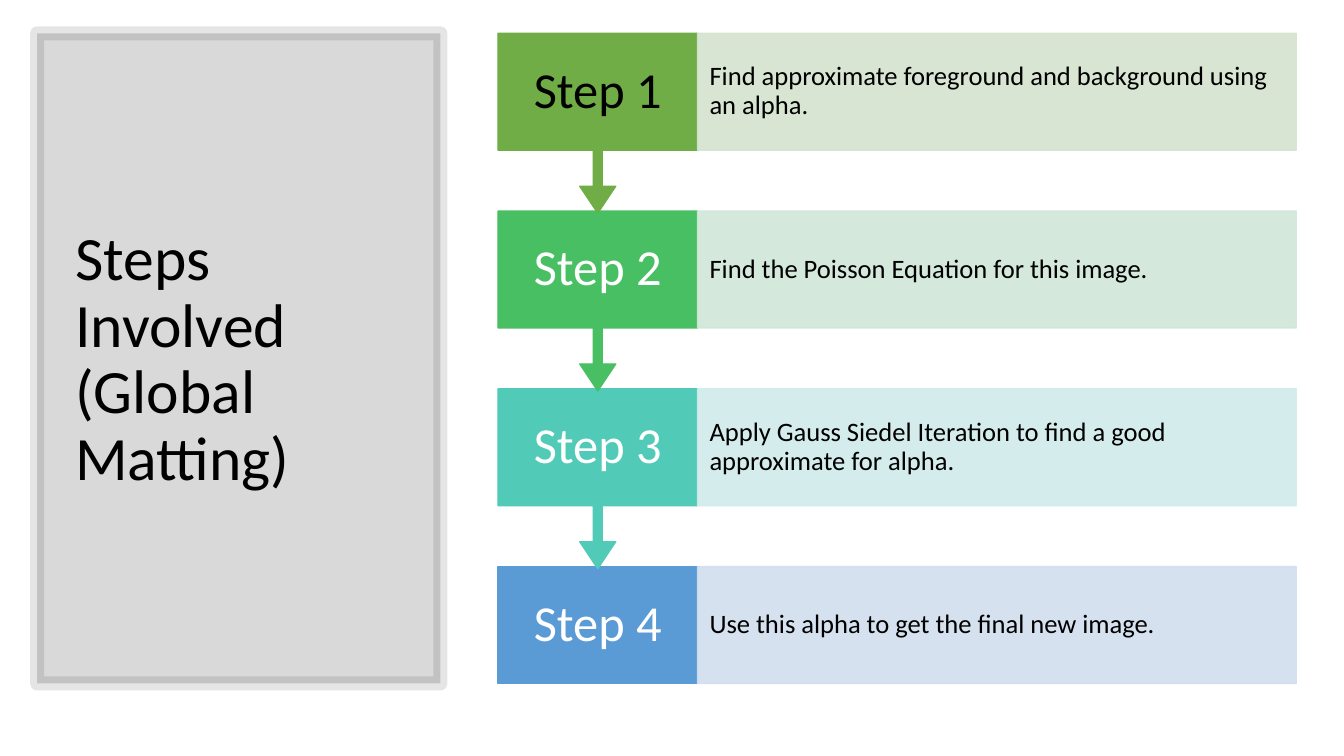
from dataclasses import dataclass

from lxml.etree import SubElement
from pptx import Presentation
from pptx.dml.color import RGBColor
from pptx.enum.shapes import MSO_SHAPE
from pptx.enum.text import MSO_ANCHOR, MSO_AUTO_SIZE, PP_ALIGN
from pptx.oxml.ns import qn
from pptx.util import Pt


@dataclass(frozen=True)
class Theme:
    """Colours, font and type sizes of the slide."""
    font: str = "Calibri"
    dark: str = "000000"
    light: str = "FFFFFF"
    title_size: int = 44
    step_size: int = 36
    detail_size: int = 19


THEME = Theme()
TITLE = "Steps Involved \n(Global Matting)"
STEPS = [
    ("Step 1", "Find approximate foreground and background using an alpha.",
     "70AD47", "D5E3CF", THEME.dark),
    ("Step 2", "Find the Poisson Equation for this image.",
     "49BF64", "D0E7D8", THEME.light),
    ("Step 3", "Apply Gauss Siedel Iteration to find a good approximate for alpha.",
     "52CAB8", "D0ECEA", THEME.light),
    ("Step 4", "Use this alpha to get the final new image.",
     "5B9BD5", "D2DEEF", THEME.light),
]


def paint(fill, color, opacity=100):
    """Give a fill one solid colour with an opacity in percent."""
    fill.solid()
    fill.fore_color.rgb = RGBColor.from_string(color)
    if opacity < 100:
        for choice in fill._xPr.iter(qn("a:srgbClr")):
            SubElement(choice, qn("a:alpha")).set("val", str(opacity * 1000))
            break


def add_block(slide, kind, box, color, opacity=100, line_width=1, line_opacity=100):
    """Add a flat preset shape with fill and outline of one colour."""
    block = slide.shapes.add_shape(kind, *map(Pt, box))
    block.shadow.inherit = False
    block.line.width = Pt(line_width)
    paint(block.line.fill, color, line_opacity)
    paint(block.fill, color, opacity)
    return block


def write(holder, text, *, size, color=THEME.dark, align=PP_ALIGN.LEFT, inset=(7.2, 3.6)):
    """Write one vertically centred paragraph into a shape."""
    frame = holder.text_frame
    frame.word_wrap = True
    frame.auto_size = MSO_AUTO_SIZE.NONE
    frame.vertical_anchor = MSO_ANCHOR.MIDDLE
    frame.margin_left = frame.margin_right = Pt(inset[0])
    frame.margin_top = frame.margin_bottom = Pt(inset[1])
    paragraph = frame.paragraphs[0]
    paragraph.text = text
    paragraph.alignment = align
    paragraph.line_spacing = 0.9
    for run in paragraph.runs:
        run.font.name = THEME.font
        run.font.size = Pt(size)
        run.font.color.rgb = RGBColor.from_string(color)


def add_title_panel(slide, box):
    """Draw the translucent panel and set the title inside it."""
    left, top, width, height = box
    add_block(slide, MSO_SHAPE.RECTANGLE, box, THEME.dark,
              opacity=15, line_width=10, line_opacity=10)
    title = slide.shapes.title
    title.left, title.top = Pt(left + 20), Pt(top + 26.6)
    title.width, title.height = Pt(width - 38.9), Pt(height - 50.4)
    slide.shapes._spTree.append(title._element)
    write(title, TITLE, size=THEME.title_size)


def add_steps(slide, box):
    """Stack the steps, each but the last pointing at the next one."""
    left, top, width, height = box
    row_height, label_width = 83.5, width / 4
    pitch = (height - row_height) / (len(STEPS) - 1)
    for index, (label, detail, strong, pale, label_color) in reversed(list(enumerate(STEPS))):
        row_top = top + index * pitch
        label_box = (left, row_top, label_width, row_height)
        if index == len(STEPS) - 1:
            add_block(slide, MSO_SHAPE.RECTANGLE, label_box, strong)
        else:
            callout = add_block(slide, MSO_SHAPE.UP_ARROW_CALLOUT,
                                (left, row_top, label_width, row_height / 0.65), strong)
            callout.rotation = 180
            for position, ratio in enumerate((0.05, 0.1, 0.15, 0.65)):
                callout.adjustments[position] = ratio
        caption = slide.shapes.add_textbox(*map(Pt, label_box))
        write(caption, label, size=THEME.step_size, color=label_color,
              align=PP_ALIGN.CENTER, inset=(10.1, 20.2))
        band = add_block(slide, MSO_SHAPE.RECTANGLE,
                         (left + label_width, row_top, width - label_width, row_height),
                         pale, opacity=90, line_opacity=90)
        write(band, detail, size=THEME.detail_size, inset=(8.6, 18.7))


def main():
    """Build the slide and save it."""
    deck = Presentation()
    deck.slide_width, deck.slide_height = Pt(960), Pt(540)
    slide = deck.slides.add_slide(deck.slide_layouts[5])
    add_title_panel(slide, (26.6, 23.8, 288, 464.4))
    add_steps(slide, (355.7, 23.8, 570.2, 464.4))
    deck.save("out.pptx")


if __name__ == "__main__":
    main()
